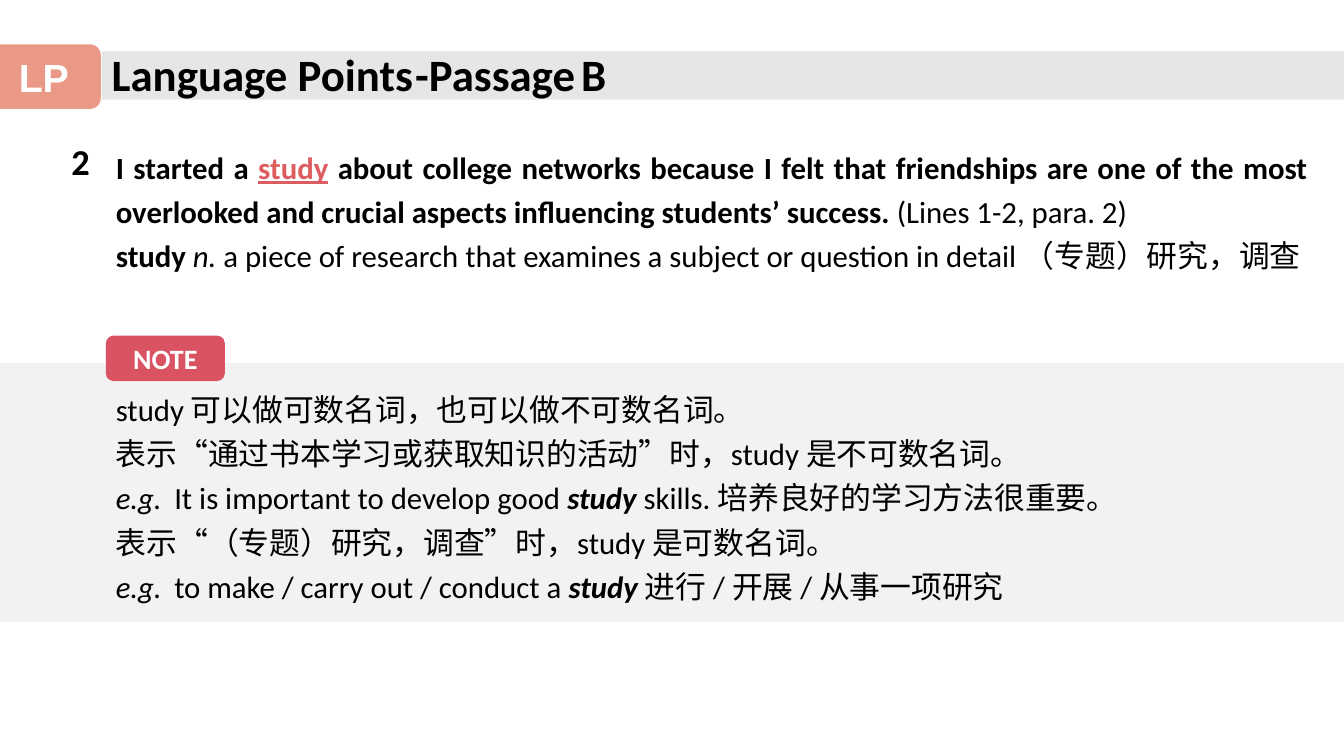
from dataclasses import dataclass
from typing import Optional

from lxml import etree
from pptx import Presentation
from pptx.dml.color import RGBColor
from pptx.enum.shapes import MSO_SHAPE
from pptx.enum.text import MSO_ANCHOR, PP_ALIGN
from pptx.oxml.ns import qn
from pptx.util import Inches, Pt

RECTANGLE, ROUNDED = MSO_SHAPE.RECTANGLE, MSO_SHAPE.ROUNDED_RECTANGLE
TOP, MIDDLE = MSO_ANCHOR.TOP, MSO_ANCHOR.MIDDLE
LEFT, CENTER, JUSTIFY = PP_ALIGN.LEFT, PP_ALIGN.CENTER, PP_ALIGN.JUSTIFY

BLACK = RGBColor(0x00, 0x00, 0x00)
WHITE = RGBColor(0xFF, 0xFF, 0xFF)
TITLE_GREY = RGBColor(0xE7, 0xE6, 0xE6)
PANEL_GREY = RGBColor(0xF2, 0xF2, 0xF2)
BADGE_ORANGE = RGBColor(0xE4, 0x70, 0x57)
NOTE_RED = RGBColor(0xDA, 0x53, 0x62)
KEYWORD_RED = RGBColor(0xDD, 0x5C, 0x60)

SLIDE_WIDTH, SLIDE_HEIGHT = Inches(13.33), Inches(7.5)
TITLE_SIZE, BODY_SIZE = 32, 22
BODY_SPACING = 1.2
EXAMPLE_INDENT = Inches(0.58)
TEXT_LEFT = 7.88


@dataclass(frozen=True)
class Area:
    """A rectangle in percent of the slide's width and height."""
    left: float
    top: float
    width: float
    height: float

    def lengths(self) -> tuple[int, int, int, int]:
        return (int(SLIDE_WIDTH * self.left / 100), int(SLIDE_HEIGHT * self.top / 100),
                int(SLIDE_WIDTH * self.width / 100), int(SLIDE_HEIGHT * self.height / 100))


@dataclass(frozen=True)
class Span:
    text: str
    bold: bool = False
    italic: bool = False
    underline: bool = False
    color: RGBColor = BLACK
    size: Optional[float] = None


@dataclass(frozen=True)
class Line:
    spans: tuple[Span, ...]
    hanging: bool = False
    space_after: float = 0


@dataclass(frozen=True)
class Block:
    area: Area
    fill: RGBColor
    outline: MSO_SHAPE = RECTANGLE
    opacity: int = 100
    label: str = ""
    font: str = "Calibri"
    size: float = BODY_SIZE


@dataclass(frozen=True)
class TextBlock:
    area: Area
    lines: tuple[Line, ...]
    size: float = BODY_SIZE
    spacing: float = 1.0
    align: PP_ALIGN = LEFT


def example(before: str, after: str) -> Line:
    return Line((Span("e.g.", italic=True), Span("\t" + before),
                 Span("study", bold=True, italic=True), Span(after)), hanging=True)


def heading(text: str) -> Line:
    return Line((Span(text, bold=True),))


BLOCKS = (
    Block(Area(7.58, 6.8, 92.42, 6.4), TITLE_GREY),
    Block(Area(-0.98, 5.87, 8.48, 8.53), BADGE_ORANGE, ROUNDED, 71, "LP", "Arial", 28),
    Block(Area(0, 48, 100, 34.27), PANEL_GREY),
    Block(Area(TEXT_LEFT, 44.4, 8.85, 6), NOTE_RED, ROUNDED, label="NOTE", size=20),
)

TEXT_BLOCKS = (
    TextBlock(Area(7.58, 5.47, 36.4, 8.53), (heading("Language Points"),), TITLE_SIZE),
    TextBlock(Area(30.15, 5.47, 18.53, 8.53),
              (Line((Span("-Passage", bold=True), Span(" ", size=18),
                     Span("B", bold=True))),), TITLE_SIZE),
    TextBlock(Area(4.58, 17.73, 4.73, 7.2), (heading("2"),), 26),
    TextBlock(Area(TEXT_LEFT, 18, 90.15, 18.67), (
        Line((Span("I started a ", bold=True),
              Span("study", bold=True, underline=True, color=KEYWORD_RED),
              Span(" about college networks because I felt that friendships are one of "
                   "the most overlooked and crucial aspects influencing students’ success. ",
                   bold=True),
              Span("(Lines 1-2, para. 2)"))),
        Line((Span("study ", bold=True), Span("n.", italic=True),
              Span(" a piece of research that examines a subject or question in detail "
                   "（专题）研究，调查")), space_after=7.7),
    ), spacing=BODY_SPACING, align=JUSTIFY),
    TextBlock(Area(TEXT_LEFT, 50, 88.8, 30.53), (
        Line((Span("study 可以做可数名词，也可以做不可数名词。"),)),
        Line((Span("表示“通过书本学习或获取知识的活动”时，study 是不可数名词。"),)),
        example("It is important to develop good ", " skills. 培养良好的学习方法很重要。"),
        Line((Span("表示“（专题）研究，调查”时，study 是可数名词。"),), hanging=True),
        example("to make / carry out / conduct a ", " 进行 / 开展 / 从事一项研究"),
    ), spacing=BODY_SPACING),
)


def write_text(frame, lines: tuple[Line, ...], *, size: float, font: str = "Calibri",
               align: PP_ALIGN = LEFT, spacing: float = 1.0,
               anchor: MSO_ANCHOR = TOP) -> None:
    frame.word_wrap = True
    frame.vertical_anchor = anchor
    for index, line in enumerate(lines):
        paragraph = frame.add_paragraph() if index else frame.paragraphs[0]
        paragraph.alignment = align
        paragraph.line_spacing = spacing
        paragraph.space_after = Pt(line.space_after)
        if line.hanging:
            properties = paragraph._p.get_or_add_pPr()
            properties.set("marL", str(EXAMPLE_INDENT))
            properties.set("indent", str(-EXAMPLE_INDENT))
        for span in line.spans:
            run = paragraph.add_run()
            run.text = span.text
            run.font.name = font
            run.font.size = Pt(span.size or size)
            run.font.bold = span.bold
            run.font.italic = span.italic
            run.font.underline = span.underline
            run.font.color.rgb = span.color


def draw_block(slide, block: Block) -> None:
    shape = slide.shapes.add_shape(block.outline, *block.area.lengths())
    shape.shadow.inherit = False
    shape.line.fill.background()
    shape.fill.solid()
    shape.fill.fore_color.rgb = block.fill
    if block.opacity < 100:
        color = shape._element.spPr.find(qn("a:solidFill")).find(qn("a:srgbClr"))
        etree.SubElement(color, qn("a:alpha")).set("val", str(block.opacity * 1000))
    if block.label:
        label = Line((Span(block.label, bold=True, color=WHITE),))
        write_text(shape.text_frame, (label,), size=block.size, font=block.font,
                   align=CENTER, anchor=MIDDLE)


def draw_text_block(slide, block: TextBlock) -> None:
    text_box = slide.shapes.add_textbox(*block.area.lengths())
    write_text(text_box.text_frame, block.lines, size=block.size,
               align=block.align, spacing=block.spacing)


def main() -> None:
    presentation = Presentation()
    presentation.slide_width, presentation.slide_height = SLIDE_WIDTH, SLIDE_HEIGHT
    slide = presentation.slides.add_slide(presentation.slide_layouts[6])
    for block in BLOCKS:
        draw_block(slide, block)
    for text_block in TEXT_BLOCKS:
        draw_text_block(slide, text_block)
    presentation.save("out.pptx")


if __name__ == "__main__":
    main()
